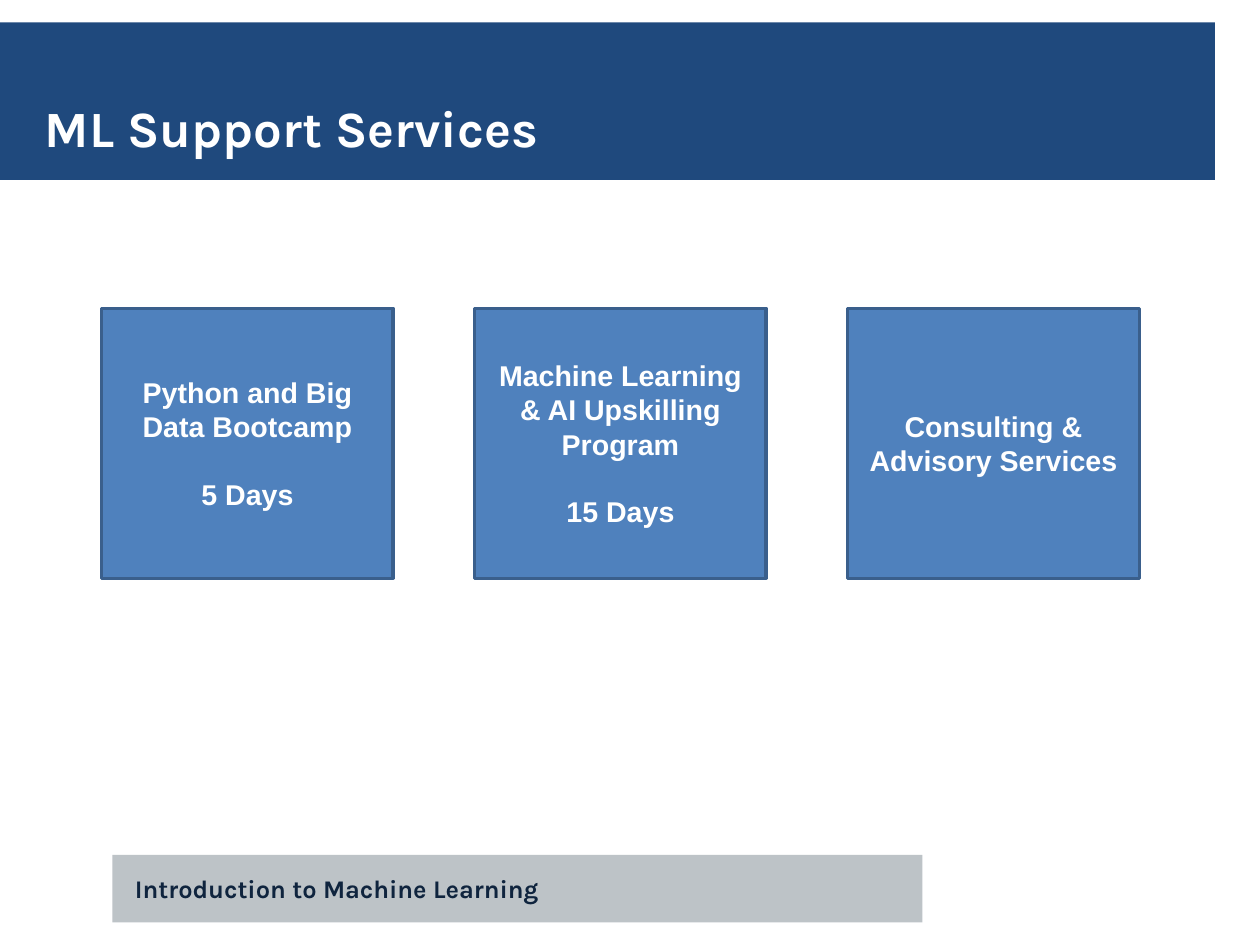
from dataclasses import dataclass

from pptx import Presentation
from pptx import util as u
from pptx.dml.color import RGBColor
from pptx.enum import shapes, text

COLUMNS, ROWS = 56, 42
UNIT = u.Cm(0.5)  # side of one grid square


@dataclass(frozen=True)
class Theme:
    band: str = "1F497D"
    footer: str = "BDC3C7"
    footer_text: str = "0F243E"
    card: str = "4F81BD"
    card_line: str = "3A5F8C"
    light: str = "FFFFFF"
    heading_font: str = "Karla"
    body_font: str = "Arial"
    title_size: int = 32
    footer_size: int = 16
    card_size: int = 18
    card_gap: int = 21


THEME = Theme()

SERVICES = [
    ["Python and Big Data Bootcamp", "5 Days"],
    ["Machine Learning & AI Upskilling Program", "15 Days"],
    ["Consulting & Advisory Services"],
]


def grid(*cells):
    """Turn column and row counts into lengths."""
    return [round(cell * UNIT) for cell in cells]


def write(box, lines, *, font, size, color, anchor, align=None, gap=0, inset=None):
    """Fill a box with bold paragraphs, set apart by gap points."""
    frame = box.text_frame
    frame.word_wrap = True
    frame.vertical_anchor = anchor
    if inset is not None:
        frame.margin_left = frame.margin_right = inset
        frame.margin_top = frame.margin_bottom = inset
    for index, line in enumerate(lines):
        para = frame.paragraphs[0] if index == 0 else frame.add_paragraph()
        para.alignment = align
        if index:
            para.space_before = u.Pt(gap)
        span = para.add_run()
        span.text = line
        span.font.name = font
        span.font.size = u.Pt(size)
        span.font.bold = True
        span.font.color.rgb = RGBColor.from_string(color)


def add_block(page, cells, fill, line=None):
    block = page.shapes.add_shape(shapes.MSO_SHAPE.RECTANGLE, *grid(*cells))
    block.shadow.inherit = False
    block.fill.solid()
    block.fill.fore_color.rgb = RGBColor.from_string(fill)
    if line:
        block.line.color.rgb = RGBColor.from_string(line)
        block.line.width = u.Pt(2)
    else:
        block.line.fill.background()
    return block


def add_heading(page, cells, words, **style):
    box = page.shapes.add_textbox(*grid(*cells))
    write(box, [words], font=THEME.heading_font, inset=0, **style)


def add_card(page, cells, lines):
    card = add_block(page, cells, THEME.card, THEME.card_line)
    write(card, lines, font=THEME.body_font, size=THEME.card_size,
          color=THEME.light, anchor=text.MSO_ANCHOR.MIDDLE,
          align=text.PP_ALIGN.CENTER, gap=THEME.card_gap)


def main():
    deck = Presentation()
    deck.slide_width, deck.slide_height = grid(COLUMNS, ROWS)
    page = deck.slides.add_slide(deck.slide_layouts[6])

    # Title band and footer bar
    add_block(page, (0, 1, 54, 7), THEME.band)
    add_block(page, (5, 38, 36, 3), THEME.footer)
    add_heading(page, (2, 2, 52, 5), "ML Support Services",
                size=THEME.title_size, color=THEME.light,
                anchor=text.MSO_ANCHOR.BOTTOM)
    add_heading(page, (6, 38, 25.55, 3), "Introduction to Machine Learning",
                size=THEME.footer_size, color=THEME.footer_text,
                anchor=text.MSO_ANCHOR.MIDDLE)

    # Service cards in one evenly spaced row
    first, step = 4.52, 16.58
    for index, lines in enumerate(SERVICES):
        add_card(page, (first + index * step, 13.7, 12.95, 12), lines)

    deck.save("out.pptx")


if __name__ == "__main__":
    main()
